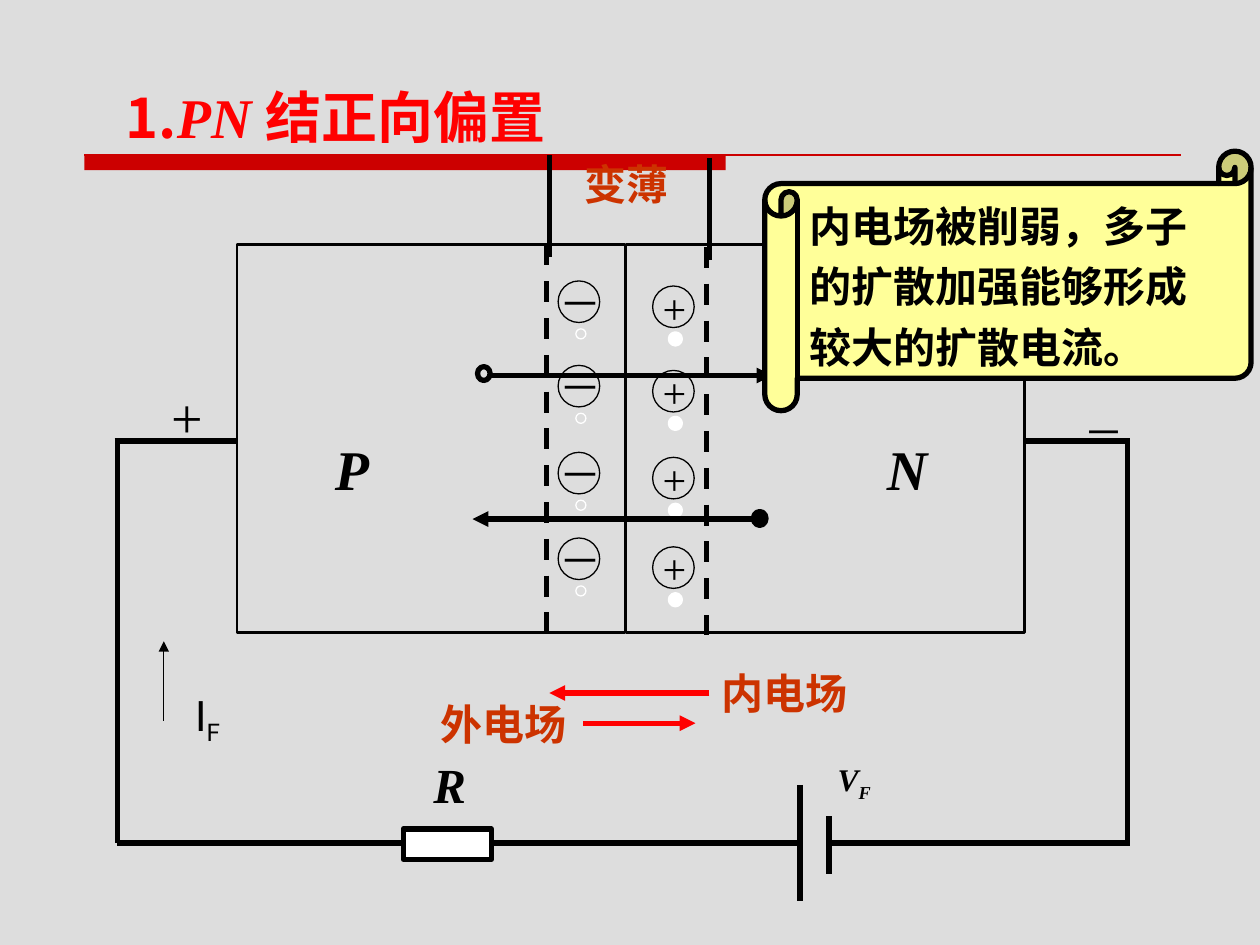
from lxml.etree import SubElement
from pptx import Presentation
from pptx.dml.color import RGBColor
from pptx.enum.dml import MSO_LINE
from pptx.enum.shapes import MSO_CONNECTOR, MSO_SHAPE as Kind
from pptx.enum.text import MSO_ANCHOR as Anchor, MSO_AUTO_SIZE as Auto, PP_ALIGN as Align
from pptx.oxml.ns import qn
from pptx.util import Inches, Pt

INK = {"back": "DDDDDD", "bar": "CC0000", "title": "FF0000", "word": "CC3300",
       "black": "000000", "white": "FFFFFF", "note": "FFFF99"}
SERIF, HAN, SANS = "Times New Roman", "Noto Sans CJK SC", "Roboto"


def tint(name):
    return RGBColor.from_string(INK[name])


def style(run, size, name=SERIF, color="black", bold=False, slant=False):
    font = run.font
    font.size, font.name, font.bold, font.italic = Pt(size), name, bold, slant
    font.color.rgb = tint(color)
    SubElement(font._element, qn("a:ea"), typeface=HAN)


def add_line(slide, x1, y1, x2, y2, color="black", width=3, arrow=False, dash=False):
    ends = [Inches(v) for v in (x1, y1, x2, y2)]
    item = slide.shapes.add_connector(MSO_CONNECTOR.STRAIGHT, *ends)
    item.line.color.rgb = tint(color)
    item.line.width = Pt(width)
    if dash:
        item.line.dash_style = MSO_LINE.DASH
    if arrow:
        SubElement(item.line._get_or_add_ln(), qn("a:tailEnd"), type="triangle")
    SubElement(item._element.spPr, qn("a:effectLst"))


def add_form(slide, kind, x, y, w, h, fill=None, line="black", width=3):
    item = slide.shapes.add_shape(kind, Inches(x), Inches(y), Inches(w), Inches(h))
    item.shadow.inherit = False
    if fill:
        item.fill.solid()
        item.fill.fore_color.rgb = tint(fill)
    else:
        item.fill.background()
    if line:
        item.line.color.rgb = tint(line)
        item.line.width = Pt(width)
    else:
        item.line.fill.background()
    return item


def add_text(slide, x, y, w, h, text, size, sub="", mid=False, wrap=True, **look):
    box = slide.shapes.add_textbox(Inches(x), Inches(y), Inches(w), Inches(h))
    frame = box.text_frame
    frame.word_wrap = wrap
    frame.vertical_anchor = Anchor.MIDDLE if mid else Anchor.TOP
    para = frame.paragraphs[0]
    para.text = text
    if sub:
        para.add_run().text = sub
    for run in para.runs:
        style(run, size, **look)
    if sub:
        para.runs[1].font._element.set("baseline", "-25000")


def add_head(slide, x, y):
    # Rule: thick bar and thin line
    add_form(slide, Kind.RECTANGLE, x, y, 5.09, 0.12, "bar", None)
    add_line(slide, x, y, x + 8.7, y, "bar", 0.75)
    # Title
    title = slide.shapes.title
    title.left, title.top = Inches(x - 0.08), Inches(y - 0.63)
    title.width, title.height = Inches(4.15), Inches(0.64)
    frame = title.text_frame
    frame.auto_size = Auto.NONE
    frame.word_wrap = True
    frame.vertical_anchor = Anchor.MIDDLE
    para = frame.paragraphs[0]
    para.alignment = Align.CENTER
    for text, name in (("1.", HAN), ("PN ", SERIF), ("结正向偏置", HAN)):
        run = para.add_run()
        run.text = text
        style(run, 32, name, "title", True, name == SERIF)


def add_ion(slide, x, y, sign):
    minus = sign == "－"
    add_form(slide, Kind.OVAL, x, y, 0.33, 0.33, width=0.75)
    left, wide = (x - 0.09, 0.58) if minus else (x - 0.02, 0.42)
    add_text(slide, left, y - 0.08, wide, 0.5, sign, 24)
    # Carrier beside the ion: open for a hole, solid for an electron
    fill, width = (None, 0.75) if minus else ("white", 3)
    add_form(slide, Kind.OVAL, x + 0.14, y + 0.38, 0.08, 0.08, fill, "white", width)


def add_block(slide, x, y, h):
    # P and N halves
    add_form(slide, Kind.RECTANGLE, x, y, 3.08, h, width=1.5)
    add_form(slide, Kind.RECTANGLE, x + 3.09, y, 3.16, h, width=1.5)
    for sign, left, tops in (("－", 2.55, (0.29, 0.96, 1.65, 2.33)),
                             ("+", 3.3, (0.33, 1, 1.69, 2.4))):
        for top in tops:
            add_ion(slide, x + left, y + top, sign)
    # Edges of the depletion layer
    for left, drop in ((2.46, 0), (3.73, 0.02)):
        add_line(slide, x + left, y + drop, x + left, y + drop + h, dash=True)
        add_line(slide, x + left + 0.02, y + drop - 0.71, x + left + 0.02, y + drop + 0.1)
    add_text(slide, x + 2.66, y - 0.73, 1.04, 0.5, "变薄", 24, mid=True,
             color="word", bold=True)
    for text, left in (("P", 0.68), ("N", 5.06)):
        add_text(slide, x + left, y + 1.46, 0.76, 0.64, text, 32, bold=True, slant=True)


def add_loop(slide, x, y, w, h):
    right, base = x + w, y + h
    # Wires
    for ends in ((x - 0.02, y, x + 0.95, y), (x, y, x, base),
                 (x, base, x + 5.44, base), (x + 7.2, y, right + 0.02, y),
                 (right, y, right, base), (x + 5.65, base, right + 0.02, base)):
        add_line(slide, *ends)
    # Battery and resistor
    add_line(slide, x + 5.42, base - 0.46, x + 5.42, base + 0.46)
    add_line(slide, x + 5.65, base - 0.21, x + 5.65, base + 0.25)
    add_form(slide, Kind.RECTANGLE, x + 2.27, base - 0.11, 0.7, 0.24, "white")
    add_text(slide, x + 2.41, base - 0.75, 0.48, 0.57, "R", 28, bold=True, slant=True)
    add_text(slide, x + 5.62, base - 0.71, 0.48, 0.44, "V", 18, "F", bold=True, slant=True)
    # Polarity and current
    add_text(slide, x + 0.33, y - 0.51, 0.82, 0.64, "+", 32)
    add_text(slide, x + 7.62, y - 0.61, 1.45, 0.64, "_", 32)
    add_line(slide, x + 0.37, y + 2.22, x + 0.37, y + 1.59, width=0.75, arrow=True)
    add_text(slide, x + 0.52, y + 1.92, 0.41, 0.56, "I", 24, "F", wrap=False, name=SANS)


def add_fields(slide, x, y):
    for text, left, top, start, end in (("内电场", 2.23, 0, 2.23, 0.96),
                                        ("外电场", 0, 0.24, 1.23, 2.12)):
        mid = y + top + 0.25
        add_line(slide, x + start, mid, x + end, mid, "title", arrow=True)
        add_text(slide, x + left, y + top, 1.35, 0.5, text, 24, mid=True,
                 color="word", bold=True)


def add_flows(slide, x, y):
    # Holes move right, electrons move left
    add_form(slide, Kind.OVAL, x + 0.04, y, 0.1, 0.11)
    add_line(slide, x + 0.15, y + 0.07, x + 2.38, y + 0.07, arrow=True)
    add_form(slide, Kind.OVAL, x + 2.23, y + 1.15, 0.1, 0.11, "black")
    add_line(slide, x + 2.23, y + 1.21, x, y + 1.21, arrow=True)


def add_note(slide, x, y, w, h):
    note = add_form(slide, Kind.HORIZONTAL_SCROLL, x, y, w, h, "note")
    frame = note.text_frame
    frame.word_wrap = True
    frame.vertical_anchor = Anchor.MIDDLE
    para = frame.paragraphs[0]
    para.text = "内电场被削弱，多子的扩散加强能够形成较大的扩散电流。"
    para.alignment = Align.LEFT
    para.line_spacing = 1.2
    style(para.runs[0], 24, bold=True)


def main():
    deck = Presentation()
    deck.slide_width, deck.slide_height = Inches(10), Inches(7.5)
    slide = deck.slides.add_slide(deck.slide_layouts[5])
    slide.background.fill.solid()
    slide.background.fill.fore_color.rgb = tint("back")
    add_head(slide, 0.67, 1.23)
    add_block(slide, 1.88, 1.94, 3.08)
    add_loop(slide, 0.93, 3.5, 8.02, 3.19)
    add_fields(slide, 3.4, 5.25)
    add_flows(slide, 3.75, 2.91)
    add_note(slide, 6.07, 1.2, 3.86, 2.06)
    deck.save("out.pptx")


if __name__ == "__main__":
    main()
